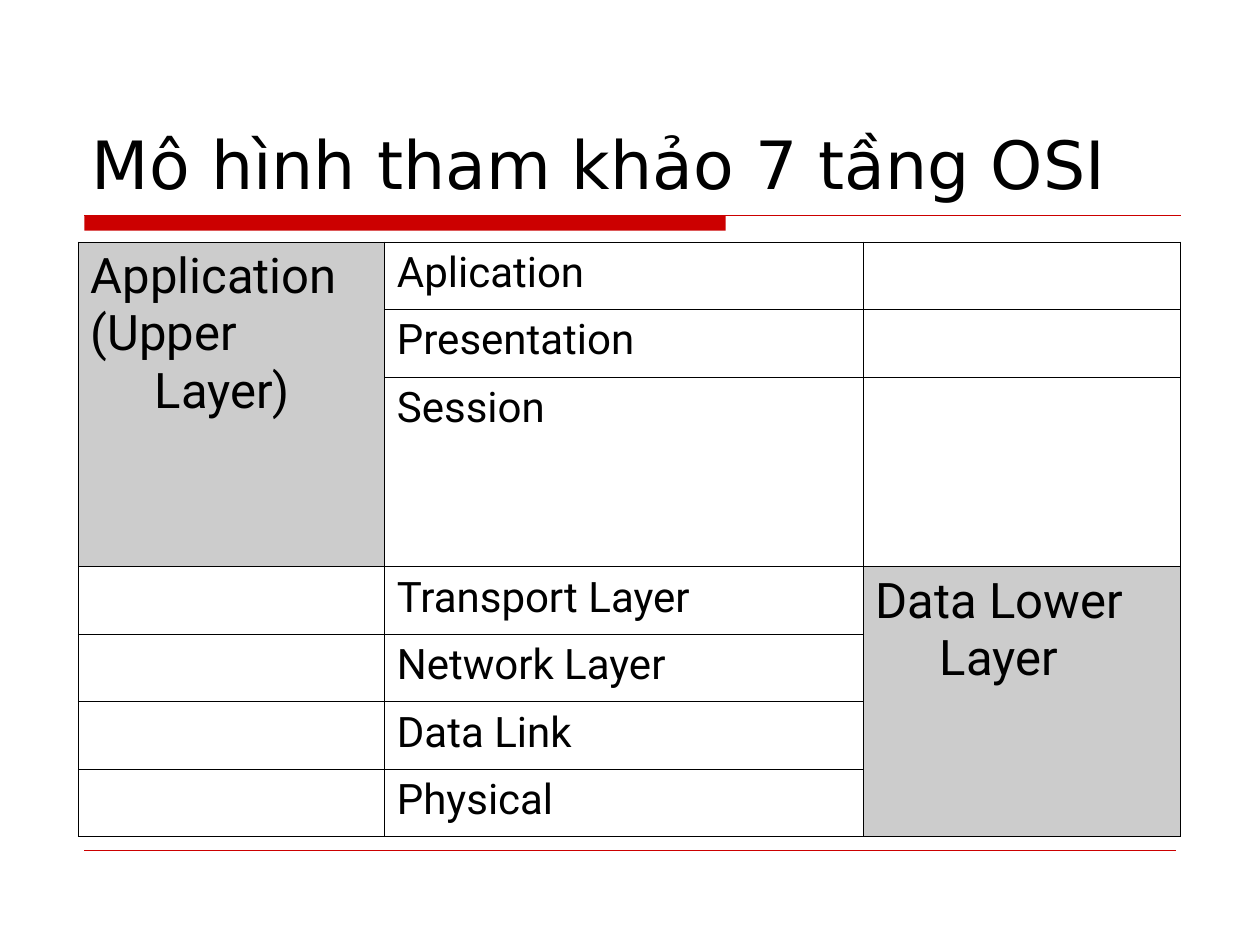
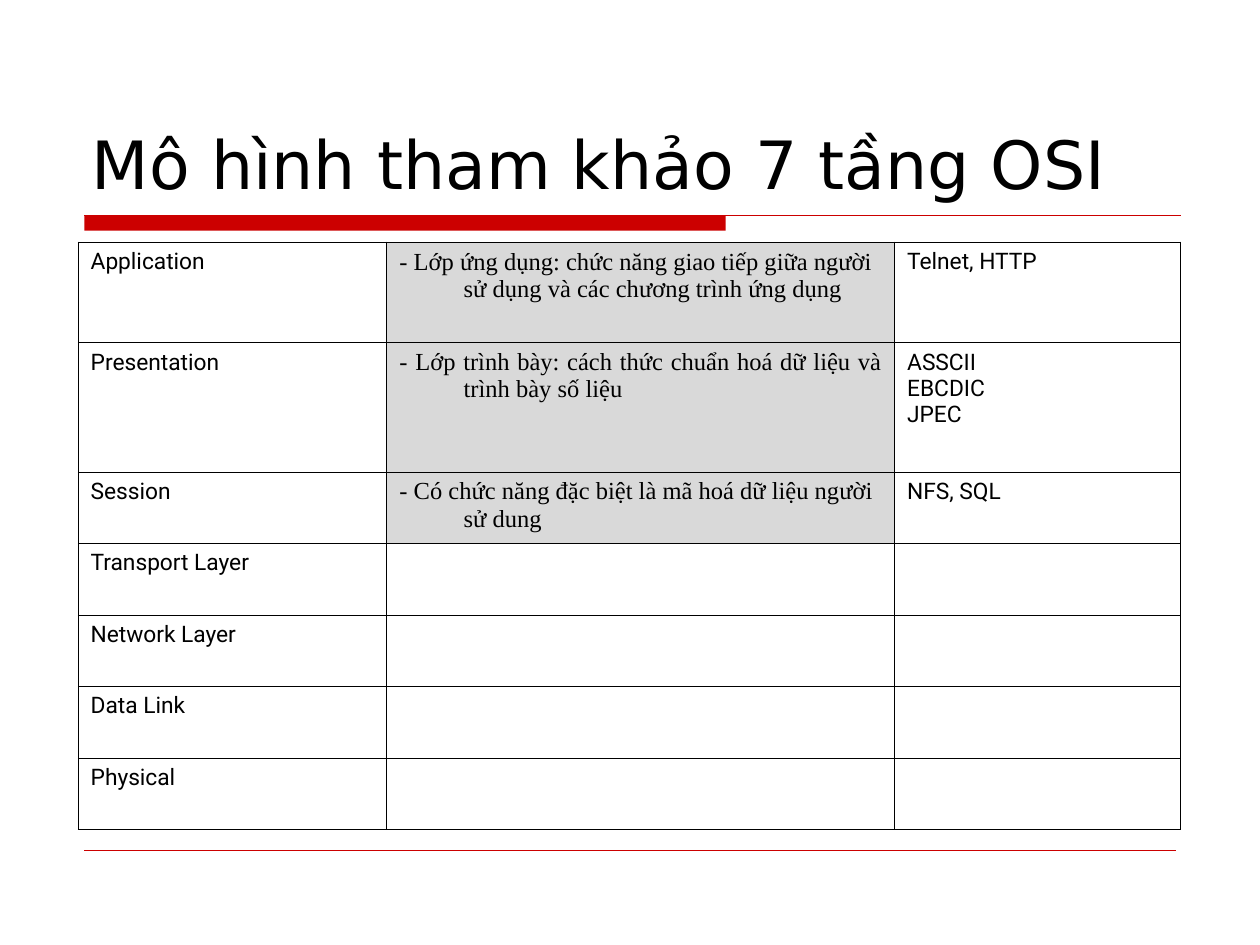
from lxml.etree import SubElement
from pptx import Presentation
from pptx.dml.color import RGBColor
from pptx.enum.shapes import MSO_CONNECTOR, MSO_SHAPE
from pptx.enum.text import MSO_ANCHOR, MSO_AUTO_SIZE, PP_ALIGN
from pptx.oxml import parse_xml
from pptx.oxml.ns import nsdecls, qn
from pptx.util import Inches, Pt

# Shared look: a grid of 100 columns by 75 rows covers the slide
COLS, ROWS = 100, 75
WIDTH, HEIGHT = Inches(10), Inches(7.5)
COLORS = {"accent": "CC0000", "text": "000000", "border": "000000",
          "group": "CCCCCC", "role": "D9D9D9"}
TITLE = "Mô hình tham khảo 7 tầng OSI"
TITLE_FONT = {"name": "DejaVu Sans", "size": Pt(38)}
BORDER = Pt(0.45)
HANGING = 5.1
TABLE_LEFT, TABLE_TOP = 6.2, 19.2

# Cell styles: font values, fill colour and alignment
STYLES = {
    "group": {"font": {"name": "Roboto", "size": Pt(28)}, "fill": "group"},
    "layer": {"font": {"name": "Roboto", "size": Pt(24)}},
    "small": {"font": {"name": "Roboto", "size": Pt(13)}},
    "role": {"font": {"name": "Times New Roman", "size": Pt(14)}, "fill": "role"},
    "justified": {"font": {"name": "Times New Roman", "size": Pt(14)},
                  "fill": "role", "align": PP_ALIGN.JUSTIFY},
}

# Layer groups: {(row, column): (text, style)}
LAYERS = ["Presentation", "Session", "Transport Layer", "Network Layer",
          "Data Link", "Physical"]
GROUP_CELLS = {(r, 1): (name, "layer") for r, name in enumerate(["Aplication"] + LAYERS)}
GROUP_CELLS |= {
    (0, 0): ("Application\n(Upper Layer)", "group"),
    (3, 2): ("Data Lower Layer", "group"),
}

# Layer roles and examples
ROLE_CELLS = {(r, 0): (name, "small") for r, name in enumerate(["Application"] + LAYERS)}
ROLE_CELLS |= {
    (0, 1): ("- Lớp ứng dụng: chức năng giao tiếp giữa người sử dụng "
             "và các chương trình ứng dụng", "role"),
    (1, 1): ("- Lớp trình bày: cách thức chuẩn hoá dữ liệu và "
             "trình bày số liệu", "justified"),
    (2, 1): ("- Có chức năng đặc biệt là mã hoá dữ liệu người sử dung", "role"),
    (0, 2): ("Telnet, HTTP", "small"),
    (1, 2): ("ASSCII\nEBCDIC\nJPEC", "small"),
    (2, 2): ("NFS, SQL", "small"),
}


def col(n):
    return round(WIDTH * n / COLS)


def row(n):
    return round(HEIGHT * n / ROWS)


def rgb(key):
    return RGBColor.from_string(COLORS[key])


def set_font(font, values):
    for name, value in values.items():
        setattr(font, name, value)
    font.color.rgb = rgb("text")


def add_rule(s, left, right, y, weight):
    line = s.shapes.add_connector(MSO_CONNECTOR.STRAIGHT, col(left), row(y), col(right), row(y))
    line.line.color.rgb = rgb("accent")
    line.line.width = Pt(weight)
    SubElement(line._element.spPr, qn("a:effectLst"))


def add_band(s):
    sp = s.shapes.add_shape(MSO_SHAPE.RECTANGLE, col(6.7), row(17.1), col(50.9), row(1.2))
    sp.shadow.inherit = False
    sp.fill.solid()
    sp.fill.fore_color.rgb = rgb("accent")
    sp.line.fill.background()
    add_rule(s, 6.7, 93.7, 17.1, 0.75)


def format_title(s):
    sp = s.shapes.title
    sp.left, sp.top, sp.width, sp.height = col(6.3), row(3.3), col(87.5), row(13.3)
    tf = sp.text_frame
    tf.text = TITLE
    tf.auto_size = MSO_AUTO_SIZE.NONE
    tf.vertical_anchor = MSO_ANCHOR.BOTTOM
    p = tf.paragraphs[0]
    p.alignment = PP_ALIGN.LEFT
    set_font(p.runs[0].font, TITLE_FONT)


def add_borders(cell):
    tc_pr = cell._tc.get_or_add_tcPr()
    for i, side in enumerate("LRTB"):
        tc_pr.insert(i, parse_xml(
            f'<a:ln{side} {nsdecls("a")} w="{BORDER}"><a:solidFill>'
            f'<a:srgbClr val="{COLORS["border"]}"/></a:solidFill></a:ln{side}>'))


def fill_cell(cell, text, style):
    cell.text = text
    if "fill" in style:
        cell.fill.solid()
        cell.fill.fore_color.rgb = rgb(style["fill"])
    for p in cell.text_frame.paragraphs:
        p.alignment = style.get("align", PP_ALIGN.LEFT)
        p_pr = p._p.get_or_add_pPr()
        p_pr.set("marL", str(col(HANGING)))
        p_pr.set("indent", str(-col(HANGING)))
        for r in p.runs:
            set_font(r.font, style["font"])


def add_layer_table(s, widths, heights, cells, merges=()):
    frame = s.shapes.add_table(len(heights), len(widths), col(TABLE_LEFT), row(TABLE_TOP),
                               col(sum(widths)), row(sum(heights)))
    table = frame.table
    table.first_row = table.horz_banding = False
    for column, width in zip(table.columns, widths):
        column.width = col(width)
    for line, height in zip(table.rows, heights):
        line.height = row(height)
    for cell in table.iter_cells():
        cell.fill.background()
    for place, (text, style) in cells.items():
        fill_cell(table.cell(*place), text, STYLES[style])
    for first, last in merges:
        table.cell(*first).merge(table.cell(*last))
    for cell in table.iter_cells():
        add_borders(cell)


def add_slide(prs):
    s = prs.slides.add_slide(prs.slide_layouts[5])
    add_band(s)
    add_rule(s, 6.7, 93.3, 67.5, 0.25)
    format_title(s)
    return s


def main():
    prs = Presentation()
    prs.slide_width, prs.slide_height = WIDTH, HEIGHT

    # Upper and lower layer groups
    add_layer_table(add_slide(prs), [24.3, 38, 25.2], [5.36] * 2 + [15.06] + [5.36] * 4,
                    GROUP_CELLS, merges=[((0, 0), (2, 0)), ((3, 2), (6, 2))])

    # Role and examples of each layer
    add_layer_table(add_slide(prs), [24.5, 40.3, 22.7], [8, 10.25] + [5.68] * 5, ROLE_CELLS)

    prs.save("out.pptx")


if __name__ == "__main__":
    main()
